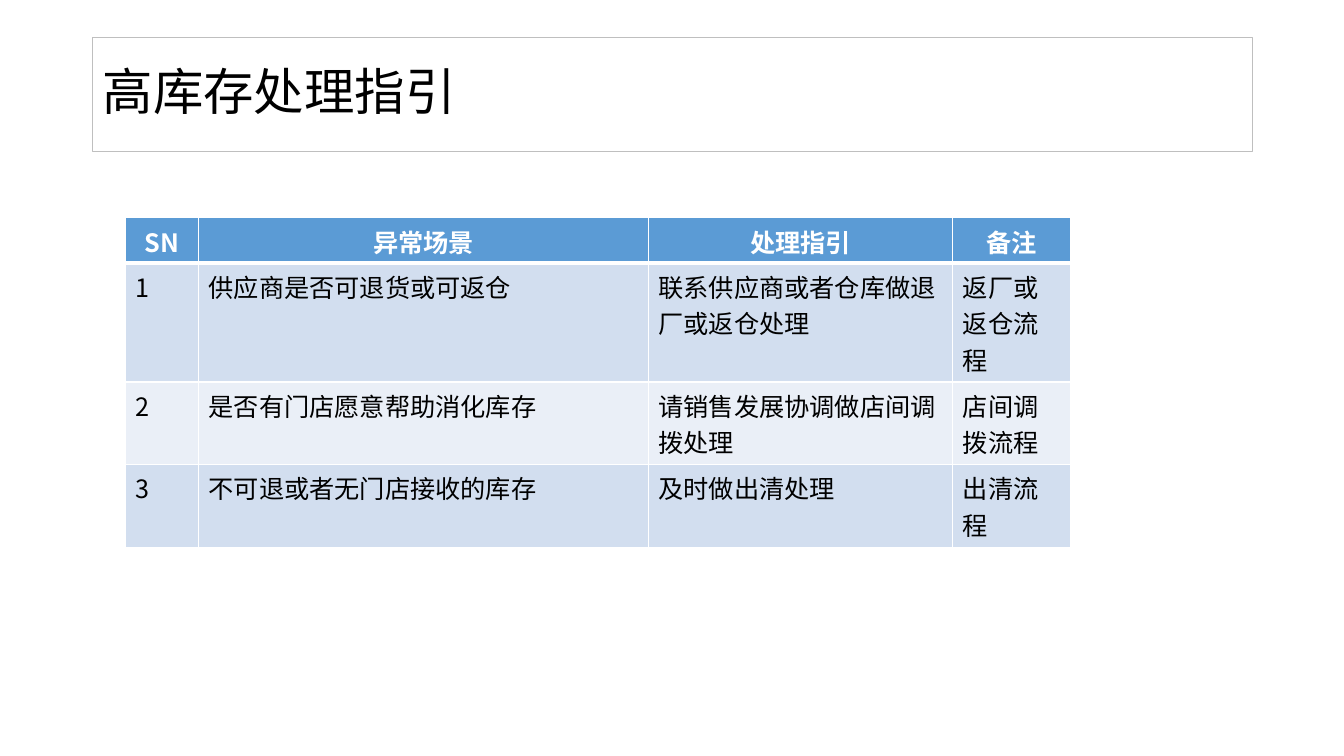
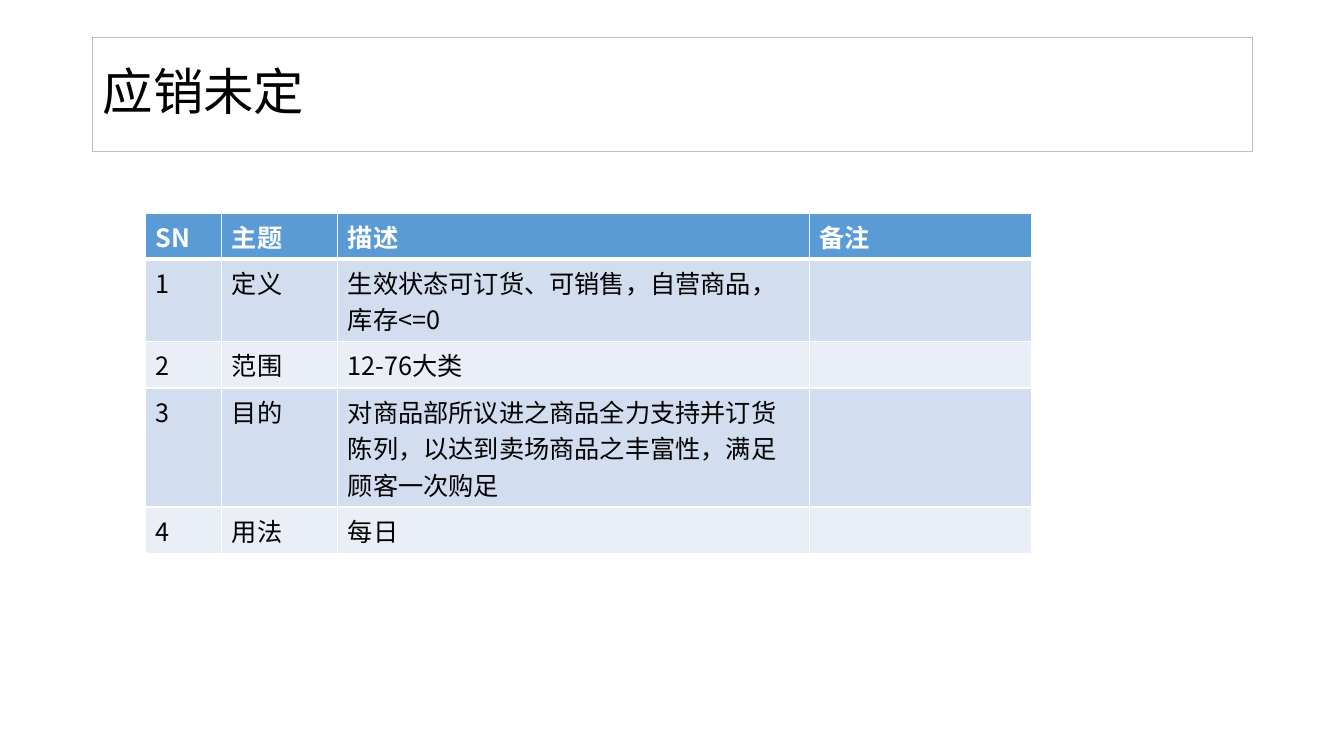
import pptx
import pptx.dml.color
import pptx.enum.text
import pptx.oxml.ns
import pptx.util
from lxml import etree

Inches, Pt = pptx.util.Inches, pptx.util.Pt
PP_ALIGN = pptx.enum.text.PP_ALIGN
qn = pptx.oxml.ns.qn

# Shared style
CJK, LATIN = "Noto Sans CJK SC", "Calibri"
BLACK, WHITE, FRAME = "000000", "FFFFFF", "BFBFBF"
HEADER, BANDS = "5B9BD5", ("D2DEEF", "EAEFF7")


def color(hex_text):
    return pptx.dml.color.RGBColor.from_string(hex_text)


def add_run(p, text, size, hex_text, font=CJK, bold=False):
    r = p.add_run()
    r.text = text
    r.font.size, r.font.bold, r.font.name = Pt(size), bold, font
    r.font.color.rgb = color(hex_text)
    etree.SubElement(r.font._element, qn("a:ea"), typeface=CJK)


# Slide content; latin_cells are the header and column set in the Latin font
slides = [
    dict(
        title="高库存处理指引", at=(1.24, 2.16), header_align=PP_ALIGN.CENTER,
        latin_cells=True,
        cols=(0.73, 4.46, 3.02, 1.17), heights=(0.45, 1.18, 0.82, 0.82),
        rows=[
            ("SN", "异常场景", "处理指引", "备注"),
            ("1", "供应商是否可退货或可返仓", "联系供应商或者仓库做退厂或返仓处理", "返厂或返仓流程"),
            ("2", "是否有门店愿意帮助消化库存", "请销售发展协调做店间调拨处理", "店间调拨流程"),
            ("3", "不可退或者无门店接收的库存", "及时做出清处理", "出清流程"),
        ],
    ),
    dict(
        title="应销未定", at=(1.44, 2.12), header_align=PP_ALIGN.LEFT,
        latin_cells=False,
        cols=(0.76, 1.15, 4.68, 2.2), heights=(0.45, 0.82, 0.46, 1.18, 0.46),
        rows=[
            ("SN", "主题", "描述", "备注"),
            ("1", "定义", "生效状态可订货、可销售，自营商品，库存<=0", ""),
            ("2", "范围", "12-76大类", ""),
            ("3", "目的", "对商品部所议进之商品全力支持并订货陈列，以达到卖场商品之丰富性，满足顾客一次购足", ""),
            ("4", "用法", "每日", ""),
        ],
    ),
]

prs = pptx.Presentation()
prs.slide_width, prs.slide_height = Inches(13.33), Inches(7.5)

for content in slides:
    s = prs.slides.add_slide(prs.slide_layouts[6])

    # Framed title
    sp = s.shapes.add_textbox(Inches(0.92), Inches(0.37), Inches(11.5), Inches(1.13))
    sp.line.color.rgb, sp.line.width = color(FRAME), Pt(0.75)
    tf = sp.text_frame
    tf.word_wrap = True
    tf.vertical_anchor = pptx.enum.text.MSO_ANCHOR.MIDDLE
    p = tf.paragraphs[0]
    p.line_spacing = 0.9
    add_run(p, content["title"], 36, BLACK)

    # Table grid
    rows, cols, heights = content["rows"], content["cols"], content["heights"]
    left, top = content["at"]
    table = s.shapes.add_table(len(rows), len(cols), Inches(left), Inches(top),
                               Inches(sum(cols)), Inches(sum(heights))).table
    for column, width in zip(table.columns, cols):
        column.width = Inches(width)
    for row, height in zip(table.rows, heights):
        row.height = Inches(height)

    # Table cells
    for i, texts in enumerate(rows):
        for j, text in enumerate(texts):
            cell = table.cell(i, j)
            is_header = i == 0
            tcPr = cell._tc.get_or_add_tcPr()
            for side in ("L", "R", "T", "B"):
                thick = (i, side) in ((0, "B"), (1, "T"))
                ln = etree.SubElement(tcPr, qn("a:ln" + side), w=str(Pt(3 if thick else 1)))
                fill = etree.SubElement(ln, qn("a:solidFill"))
                etree.SubElement(fill, qn("a:srgbClr"), val=WHITE)
            cell.fill.solid()
            cell.fill.fore_color.rgb = color(HEADER if is_header else BANDS[(i - 1) % 2])
            p = cell.text_frame.paragraphs[0]
            p.alignment = content["header_align"] if is_header else PP_ALIGN.LEFT
            if text:
                is_latin = content["latin_cells"] and (j == 3 or is_header and j > 0)
                add_run(p, text, 18, WHITE if is_header else BLACK,
                        LATIN if is_latin else CJK, is_header)

prs.save("out.pptx")
